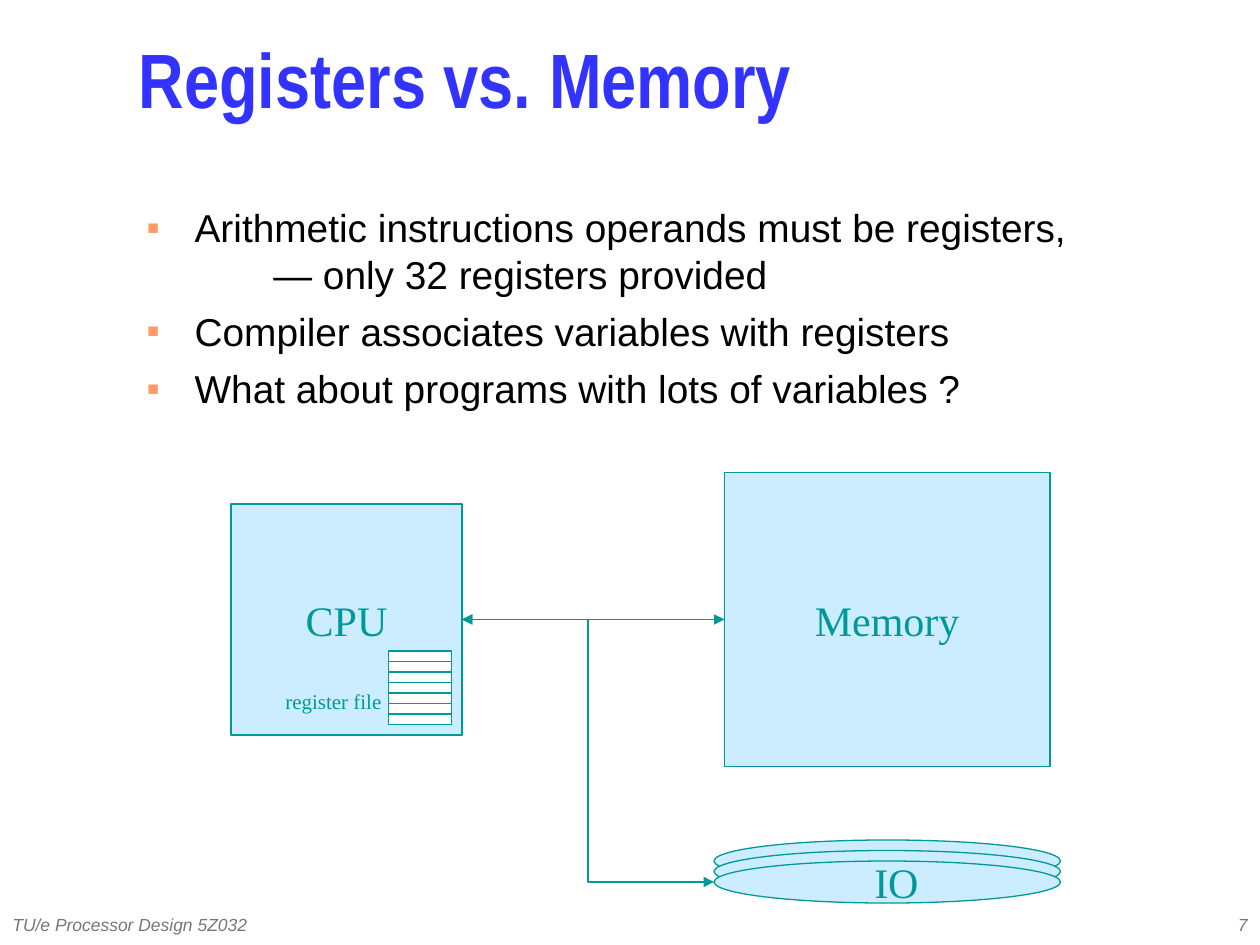
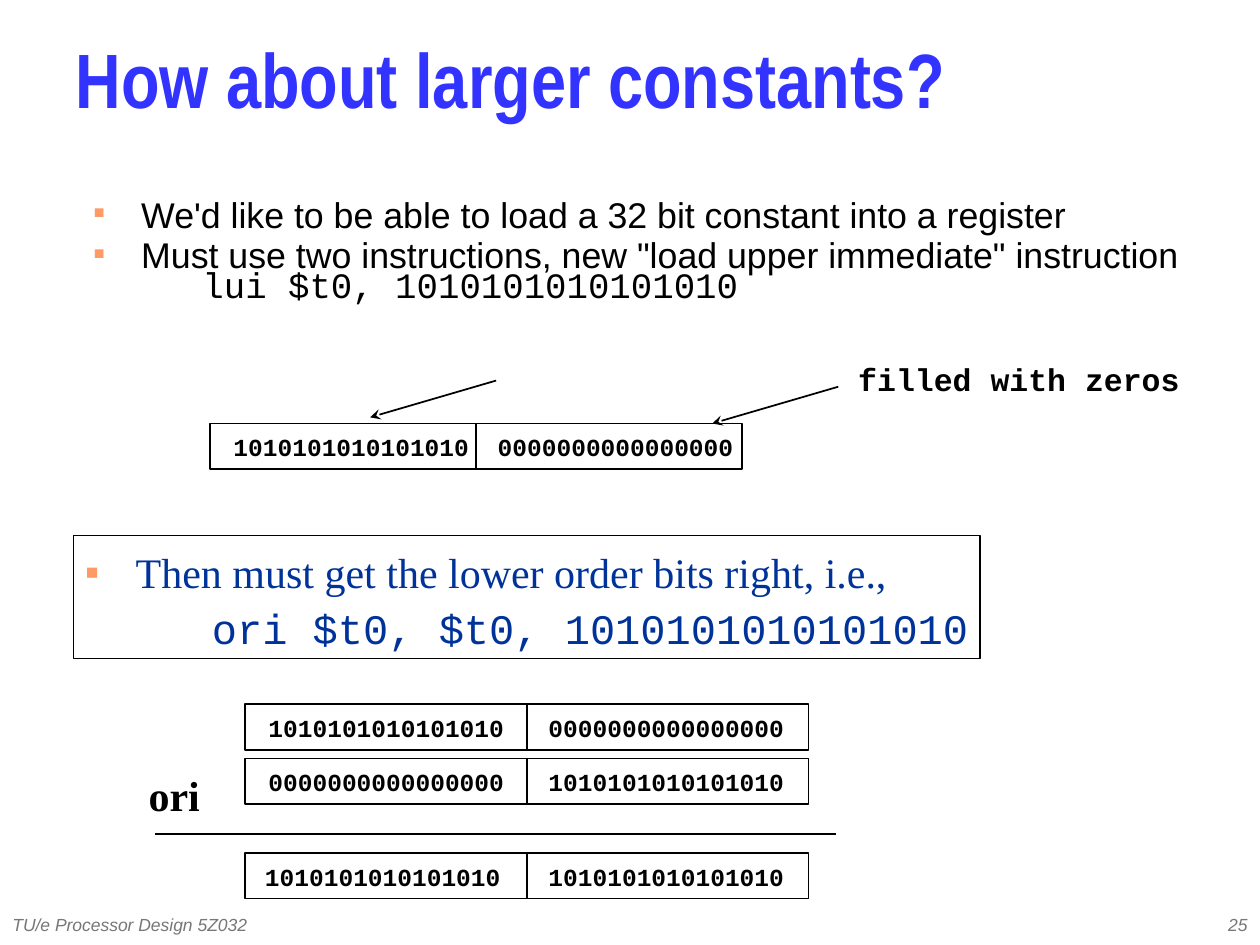
from dataclasses import dataclass
from itertools import product

from lxml import etree
from pptx import Presentation
from pptx.dml.color import RGBColor
from pptx.enum.shapes import MSO_CONNECTOR, MSO_SHAPE
from pptx.enum.text import MSO_ANCHOR, MSO_AUTO_SIZE, PP_ALIGN
from pptx.oxml.ns import qn
from pptx.util import Pt

RECT, OVAL = MSO_SHAPE.RECTANGLE, MSO_SHAPE.OVAL
STRAIGHT, ELBOW = MSO_CONNECTOR.STRAIGHT, MSO_CONNECTOR.ELBOW
TOP, MIDDLE = MSO_ANCHOR.TOP, MSO_ANCHOR.MIDDLE
LEFT, CENTER, RIGHT = PP_ALIGN.LEFT, PP_ALIGN.CENTER, PP_ALIGN.RIGHT
FIXED_SIZE = MSO_AUTO_SIZE.NONE

TITLE_BLUE = RGBColor(0x33, 0x33, 0xFF)
BODY_INK = RGBColor(0x01, 0x00, 0x00)
BLACK = RGBColor(0x00, 0x00, 0x00)
WHITE = RGBColor(0xFF, 0xFF, 0xFF)
TEAL = RGBColor(0x00, 0x99, 0x99)
PALE_BLUE = RGBColor(0xCC, 0xEC, 0xFF)
NAVY = RGBColor(0x00, 0x33, 0x99)
FOOTER_GRAY = RGBColor(0x77, 0x77, 0x77)
BULLET_ORANGE = RGBColor(0xFF, 0x99, 0x66)

SANS, NARROW, SERIF, MONO = "Arial", "Arial Narrow", "Times New Roman", "Courier New"
PATTERN, ZEROS = "1010101010101010", "0000000000000000"
WIDE_INSETS, TIGHT_INSETS = (7.2, 3.6), (1.44, 2.16)


@dataclass(frozen=True)
class Box:
    """Left, top, width and height in points."""
    left: float
    top: float
    width: float
    height: float

    def lengths(self) -> list:
        return [Pt(v) for v in (self.left, self.top, self.width, self.height)]


@dataclass(frozen=True)
class Style:
    font: str
    size: float
    color: RGBColor
    bold: bool = False
    italic: bool = False


@dataclass(frozen=True)
class Bullet:
    """A list entry with an optional second line, set off by a tab."""
    text: str
    continuation: str = ""
    continuation_font: str = SANS
    tab: float = 72


@dataclass(frozen=True)
class Word:
    """A 32 bit word drawn as two halves."""
    left: float
    top: float
    half_width: float
    upper: str
    lower: str
    upper_inset: float = 12


TITLE_STYLE = Style(NARROW, 44, TITLE_BLUE, bold=True)
FOOTER_STYLE = Style(SANS, 10, FOOTER_GRAY, italic=True)
UNIT_STYLE = Style(SERIF, 24, TEAL)
REGISTER_FILE_STYLE = Style(SERIF, 12, TEAL)
BITS_STYLE = Style(MONO, 14, BLACK, bold=True)
NOTE_STYLE = Style(MONO, 18, BLACK, bold=True)
OPERATOR_STYLE = Style(SERIF, 24, BLACK, bold=True)


# Text
def format_run(run, style: Style) -> None:
    font = run.font
    font.name, font.size = style.font, Pt(style.size)
    font.bold, font.italic = style.bold, style.italic
    font.color.rgb = style.color


def set_frame(frame, insets: tuple = WIDE_INSETS, anchor=TOP, wrap: bool = True) -> None:
    frame.auto_size = FIXED_SIZE
    frame.word_wrap = wrap
    frame.vertical_anchor = anchor
    frame.margin_left = frame.margin_right = Pt(insets[0])
    frame.margin_top = frame.margin_bottom = Pt(insets[1])


def set_line(frame, text: str, style: Style, align=LEFT, spacing=None) -> None:
    frame.text = text
    paragraph = frame.paragraphs[0]
    paragraph.alignment = align
    paragraph.line_spacing = spacing
    format_run(paragraph.runs[0], style)


def add_label(slide, box: Box, text: str, style: Style, align=LEFT, spacing=None,
              insets: tuple = WIDE_INSETS, anchor=TOP, wrap: bool = False) -> None:
    frame = slide.shapes.add_textbox(*box.lengths()).text_frame
    set_frame(frame, insets, anchor, wrap)
    set_line(frame, text, style, align, spacing)


def add_bullet_marks(paragraph, hang: float, tab: float) -> None:
    properties = paragraph._p.get_or_add_pPr()
    properties.set("marL", str(Pt(hang)))
    properties.set("indent", str(-Pt(hang)))
    color = etree.SubElement(properties, qn("a:buClr"))
    etree.SubElement(color, qn("a:srgbClr"), val=str(BULLET_ORANGE))
    etree.SubElement(properties, qn("a:buSzPct"), val="50000")
    etree.SubElement(properties, qn("a:buFont"), typeface=SANS)
    etree.SubElement(properties, qn("a:buChar"), char="■")
    tabs = etree.SubElement(properties, qn("a:tabLst"))
    etree.SubElement(tabs, qn("a:tab"), pos=str(Pt(tab)), algn="l")


def fill_bullets(frame, bullets: list[Bullet], style: Style, spacing: float,
                 hang: float = 27) -> None:
    for index, bullet in enumerate(bullets):
        paragraph = frame.add_paragraph() if index else frame.paragraphs[0]
        paragraph.text = bullet.text
        if bullet.continuation:
            paragraph.text = f"{bullet.text}\v\t{bullet.continuation}"
        add_bullet_marks(paragraph, hang, bullet.tab)
        paragraph.alignment = LEFT
        paragraph.line_spacing = spacing
        paragraph.space_before = Pt(6 if index else 0)
        for run in paragraph.runs:
            format_run(run, style)
        if bullet.continuation:
            paragraph.runs[-1].font.name = bullet.continuation_font


# Shapes and lines
def add_outline(slide, kind, box: Box, line: RGBColor, width: float = 0.75, fill=None):
    shape = slide.shapes.add_shape(kind, *box.lengths())
    shape.shadow.inherit = False
    if fill is None:
        shape.fill.background()
    else:
        shape.fill.solid()
        shape.fill.fore_color.rgb = fill
    shape.line.color.rgb = line
    shape.line.width = Pt(width)
    return shape


def add_line(slide, start: tuple, end: tuple, color: RGBColor, width: float = 0.75,
             kind=STRAIGHT, head: str = "none", tail: str = "none") -> None:
    points = [Pt(v) for v in (*start, *end)]
    connector = slide.shapes.add_connector(kind, *points)
    connector.line.color.rgb = color
    connector.line.width = Pt(width)
    outline = connector.line._get_or_add_ln()
    etree.SubElement(outline, qn("a:headEnd"), type=head)
    etree.SubElement(outline, qn("a:tailEnd"), type=tail)
    etree.SubElement(connector._element.spPr, qn("a:effectLst"))


def add_unit(slide, box: Box, name: str) -> None:
    frame = add_outline(slide, RECT, box, TEAL, fill=PALE_BLUE).text_frame
    set_frame(frame, anchor=MIDDLE, wrap=False)
    set_line(frame, name, UNIT_STYLE, CENTER)


def add_word(slide, word: Word) -> None:
    halves = ((word.upper, word.upper_inset), (word.lower, 11))
    for index, (bits, inset) in enumerate(halves):
        left = word.left + index * word.half_width
        add_outline(slide, RECT, Box(left, word.top, word.half_width, 26), BLACK, 1)
        add_label(slide, Box(left + inset, word.top - 1.5, 160, 42.5), bits, BITS_STYLE,
                  spacing=Pt(21), insets=TIGHT_INSETS)


# What both slides share
def start_slide(deck, title: str, title_left: float, number: int, body: Box):
    slide = deck.slides.add_slide(deck.slide_layouts[1])
    heading, content = slide.shapes.title, slide.placeholders[1]
    title_box = Box(title_left, 12, 690 - title_left, 78)
    for placeholder, box in ((heading, title_box), (content, body)):
        (placeholder.left, placeholder.top,
         placeholder.width, placeholder.height) = box.lengths()
    set_frame(heading.text_frame, anchor=MIDDLE)
    set_line(heading.text_frame, title, TITLE_STYLE, spacing=0.7)
    set_frame(content.text_frame)
    add_label(slide, Box(0, 516, 228, 24), "TU/e Processor Design 5Z032", FOOTER_STYLE,
              anchor=MIDDLE, wrap=True)
    add_label(slide, Box(570, 516, 150, 24), str(number), FOOTER_STYLE, RIGHT,
              anchor=MIDDLE, wrap=True)
    return slide, content.text_frame


def build_registers_slide(deck) -> None:
    slide, body = start_slide(deck, "Registers vs. Memory", 72, 7,
                              Box(77, 113, 608, 128))
    fill_bullets(body, [
        Bullet("Arithmetic instructions operands must be registers,",
               "— only 32 registers provided"),
        Bullet("Compiler associates variables with registers"),
        Bullet("What about programs with lots of variables ?"),
    ], Style(SANS, 22.2, BODY_INK), 1.0)

    # Processor, memory and stacked IO discs
    add_unit(slide, Box(132, 288, 132, 132), "CPU")
    add_unit(slide, Box(414, 270, 186, 168), "Memory")
    for disc in range(3):
        add_outline(slide, OVAL, Box(408, 480 + 6 * disc, 198, 24), TEAL, fill=PALE_BLUE)
    add_label(slide, Box(492.5, 486, 39.5, 36), "IO", UNIT_STYLE)

    # Bus
    for end, kind in (((414, 354), STRAIGHT), ((408, 504), ELBOW)):
        add_line(slide, (264, 354), end, TEAL, kind=kind, head="triangle", tail="triangle")

    # Register file
    row_height, rows = 6, 7
    registers = Box(222, 372, 36, row_height * rows)
    add_outline(slide, RECT, registers, TEAL, fill=WHITE)
    for row in range(1, rows):
        y = registers.top + row * row_height
        add_line(slide, (registers.left, y), (registers.left + registers.width, y), TEAL)
    add_label(slide, Box(156, 390, 69, 21.5), "register file", REGISTER_FILE_STYLE)


def build_constants_slide(deck) -> None:
    slide, body = start_slide(deck, "How about larger constants?", 36, 25,
                              Box(46.5, 113, 686, 122))
    fill_bullets(body, [
        Bullet("We'd like to be able to load a 32 bit constant into a register"),
        Bullet('Must use two instructions, new "load upper immediate" instruction',
               f"lui $t0, {PATTERN}", MONO, 62),
    ], Style(SANS, 20.4, BODY_INK), 0.7)

    # Result of lui, then the two operands and the result of ori
    for word in (Word(120, 242, 152, PATTERN, ZEROS),
                 Word(140, 402.5, 161, PATTERN, ZEROS),
                 Word(140, 433.5, 161, ZEROS, PATTERN),
                 Word(140, 487.5, 161, PATTERN, PATTERN, 10)):
        add_word(slide, word)
    for start, end in (((283.5, 217.5), (211.5, 238.5)), ((479, 221), (407, 242))):
        add_line(slide, start, end, BLACK, 1, tail="stealth")
    add_label(slide, Box(489, 198, 271, 48), "filled with zeros", NOTE_STYLE,
              spacing=Pt(27), insets=TIGHT_INSETS)

    # Second instruction
    frame = add_outline(slide, RECT, Box(42, 306, 518, 70.5), BODY_INK).text_frame
    set_frame(frame, anchor=MIDDLE)
    frame.margin_right = Pt(0)
    fill_bullets(frame, [
        Bullet("Then must get the lower order bits right, i.e.,",
               f"ori $t0, $t0, {PATTERN}", MONO),
    ], Style(SERIF, 24, NAVY), 1.1, hang=28.5)

    # Sum line and operator
    add_line(slide, (88.5, 476.5), (478, 476.5), BLACK, 1)
    add_label(slide, Box(54.5, 450.5, 90, 26), "ori", OPERATOR_STYLE, CENTER, Pt(16),
              TIGHT_INSETS)


def main() -> None:
    deck = Presentation()
    deck.slide_width, deck.slide_height = Pt(720), Pt(540)
    build_registers_slide(deck)
    build_constants_slide(deck)
    deck.save("out.pptx")


if __name__ == "__main__":
    main()
